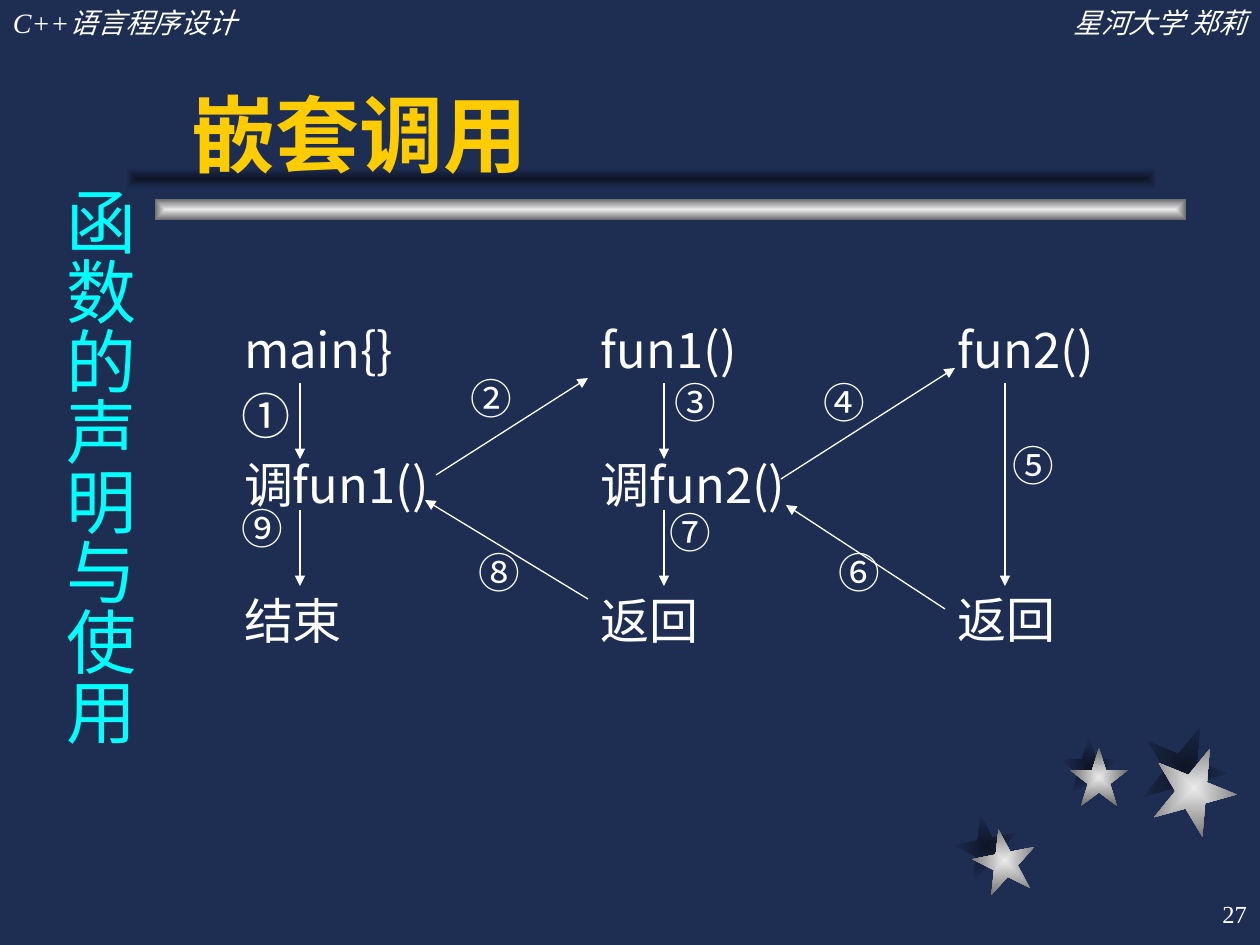
"""Build the nested function call slide."""
from dataclasses import dataclass

from lxml.etree import SubElement
from pptx import Presentation
from pptx.dml.color import RGBColor
from pptx.enum.shapes import MSO_CONNECTOR, MSO_SHAPE
from pptx.enum.text import MSO_ANCHOR, MSO_AUTO_SIZE, PP_ALIGN
from pptx.oxml.ns import qn
from pptx.util import Emu, Pt

COLORS = {
    "background": "1E2E53",
    "shade": "0E1526",
    "silver": "EAEAEA",
    "steel": "6C6C6C",
    "title": "FFCC00",
    "chapter": "00FFFF",
    "text": "FFFFFF",
}
SERIF, SANS, CJK = "Times New Roman", "Arial", "Noto Sans CJK SC"
SILVER, SHADE = ("silver", "steel"), ("shade", "background")
ROW_PITCH, LINE_HEIGHT = 77.1, 38.5


@dataclass(frozen=True)
class Box:
    x: int
    y: int
    w: int
    h: int


@dataclass(frozen=True)
class Star:
    x: int
    y: int
    size: int
    angle: int
    dx: int
    dy: int


@dataclass(frozen=True)
class Style:
    size: float
    font: str = CJK
    color: str = "text"
    bold: bool = False
    italic: bool = False


@dataclass(frozen=True)
class Row:
    text: str
    steps: int = 0


@dataclass(frozen=True)
class Arrow:
    x1: int
    y1: int
    x2: int
    y2: int


@dataclass(frozen=True)
class Step:
    mark: str
    x: int
    y: int


STARS = [
    Star(955, 815, 63, -11, 18, 14),
    Star(1060, 737, 58, 0, 10, 11),
    Star(1142, 725, 84, 22, 10, 21),
]
COLUMNS = [
    [Row("main{}"), Row("调fun1()", 1), Row("结束", 1)],
    [Row("fun1()"), Row("调fun2()", 1), Row("返回", 1)],
    [Row("fun2()"), Row("返回", 2)],
]
ARROWS = [
    *(Arrow(x, y, x, y + 76) for x in (300, 664) for y in (383, 510)),
    Arrow(436, 475, 588, 378),
    Arrow(588, 599, 425, 500),
    Arrow(781, 479, 955, 368),
    Arrow(1005, 383, 1005, 586),
    Arrow(945, 609, 786, 505),
]
STEPS = [
    Step("②", 470, 379), Step("③", 675, 383), Step("④", 823, 383),
    Step("⑤", 1012, 446), Step("⑥", 839, 553), Step("⑦", 670, 513),
    Step("⑧", 479, 553), Step("⑨", 242, 509),
]


def px(n: int) -> Emu:
    return Emu(round(n * 914400 / 126))


def rgb(name: str) -> RGBColor:
    return RGBColor.from_string(COLORS[name])


def place(sp, box: Box) -> None:
    sp.left, sp.top, sp.width, sp.height = map(px, (box.x, box.y, box.w, box.h))


def add_run(p, text: str, style: Style) -> None:
    r = p.add_run()
    r.text = text
    r.font.size = Pt(style.size)
    r.font.name = style.font
    r.font.bold, r.font.italic = style.bold, style.italic
    r.font.color.rgb = rgb(style.color)
    SubElement(r.font._element, qn("a:ea")).set("typeface", CJK)


def add_text(s, box: Box, rows: list[Row], style: Style,
             align=PP_ALIGN.LEFT, spacing: float = 1.0, inset=(13, 6)):
    sp = s.shapes.add_textbox(0, 0, 0, 0)
    place(sp, box)
    tf = sp.text_frame
    tf.word_wrap = True
    tf.margin_left = tf.margin_right = px(inset[0])
    tf.margin_top = tf.margin_bottom = px(inset[1])
    for i, row in enumerate(rows):
        p = tf.add_paragraph() if i else tf.paragraphs[0]
        p.alignment, p.line_spacing = align, spacing
        if row.steps:
            p.space_before = Pt(round(row.steps * ROW_PITCH - LINE_HEIGHT, 1))
        add_run(p, row.text, style)
    return sp


def add_glow(s, kind, box: Box, colors: tuple[str, str], angle: int = 0) -> None:
    sp = s.shapes.add_shape(kind, 0, 0, 0, 0)
    place(sp, box)
    sp.rotation = angle
    sp.shadow.inherit = False
    sp.line.fill.background()
    sp.fill.gradient()
    grad = sp.element.spPr.find(qn("a:gradFill"))
    for child in list(grad):
        grad.remove(child)
    stops = SubElement(grad, qn("a:gsLst"))
    for pos, name in zip(("0", "100000"), colors):
        stop = SubElement(stops, qn("a:gs"), pos=pos)
        SubElement(stop, qn("a:srgbClr"), val=COLORS[name])
    path = SubElement(grad, qn("a:path"), {"path": "rect"})
    SubElement(path, qn("a:fillToRect"), dict.fromkeys("ltrb", "50000"))


def add_arrow(s, arrow: Arrow) -> None:
    ends = map(px, (arrow.x1, arrow.y1, arrow.x2, arrow.y2))
    line = s.shapes.add_connector(MSO_CONNECTOR.STRAIGHT, *ends)
    line.line.color.rgb = rgb("text")
    line.line.width = Pt(0.75)
    spPr = line.element.spPr
    SubElement(spPr.find(qn("a:ln")), qn("a:tailEnd"), type="triangle")
    SubElement(spPr, qn("a:effectLst"))


def add_title(s, text: str) -> None:
    sp = s.shapes.title
    sp.element.getparent().append(sp.element)
    place(sp, Box(179, 32, 987, 158))
    tf = sp.text_frame
    tf.auto_size = MSO_AUTO_SIZE.NONE
    tf.vertical_anchor = MSO_ANCHOR.BOTTOM
    p = tf.paragraphs[0]
    p.alignment = PP_ALIGN.LEFT
    add_run(p, text, Style(48, SANS, "title", bold=True))


def add_chapter(s, text: str) -> None:
    sp = add_text(s, Box(39, 174, 108, 590), [Row(text)],
                  Style(40, SERIF, "chapter"), inset=(6, 13))
    sp.text_frame._txBody.bodyPr.set("vert", "eaVert")


def main() -> None:
    prs = Presentation()
    prs.slide_width, prs.slide_height = px(1260), px(945)
    s = prs.slides.add_slide(prs.slide_layouts[5])
    s.background.fill.solid()
    s.background.fill.fore_color.rgb = rgb("background")
    for colors, lift in ((SHADE, 0), (SILVER, 1)):
        for star in STARS:
            box = Box(star.x + lift * star.dx, star.y + lift * star.dy, star.size, star.size)
            add_glow(s, MSO_SHAPE.STAR_5_POINT, box, colors, star.angle)
    add_glow(s, MSO_SHAPE.RECTANGLE, Box(155, 199, 1031, 21), SILVER)
    add_glow(s, MSO_SHAPE.RECTANGLE, Box(126, 168, 1031, 21), SHADE)
    header = Style(16, SERIF, italic=True)
    add_text(s, Box(0, 0, 388, 47), [Row("C++语言程序设计")], header)
    add_text(s, Box(872, 0, 388, 47), [Row("星河大学 郑莉")], header, PP_ALIGN.RIGHT)
    number = add_text(s, Box(998, 882, 262, 63), [Row("27")], Style(14, SERIF), PP_ALIGN.RIGHT)
    number.text_frame.vertical_anchor = MSO_ANCHOR.MIDDLE
    add_title(s, "嵌套调用")
    add_chapter(s, "函数的声明与使用")
    for i, rows in enumerate(COLUMNS):
        add_text(s, Box(231 + 357 * i, 305, 231, 357), rows, Style(28), PP_ALIGN.JUSTIFY, 1.15)
    for arrow in ARROWS:
        add_arrow(s, arrow)
    add_text(s, Box(242, 386, 48, 60), [Row("①")], Style(28), PP_ALIGN.JUSTIFY, inset=(0, 0))
    for step in STEPS:
        add_text(s, Box(step.x, step.y, 42, 50), [Row(step.mark)], Style(23.8),
                 PP_ALIGN.JUSTIFY, 0.9, (0, 0))
    prs.save("out.pptx")


if __name__ == "__main__":
    main()
